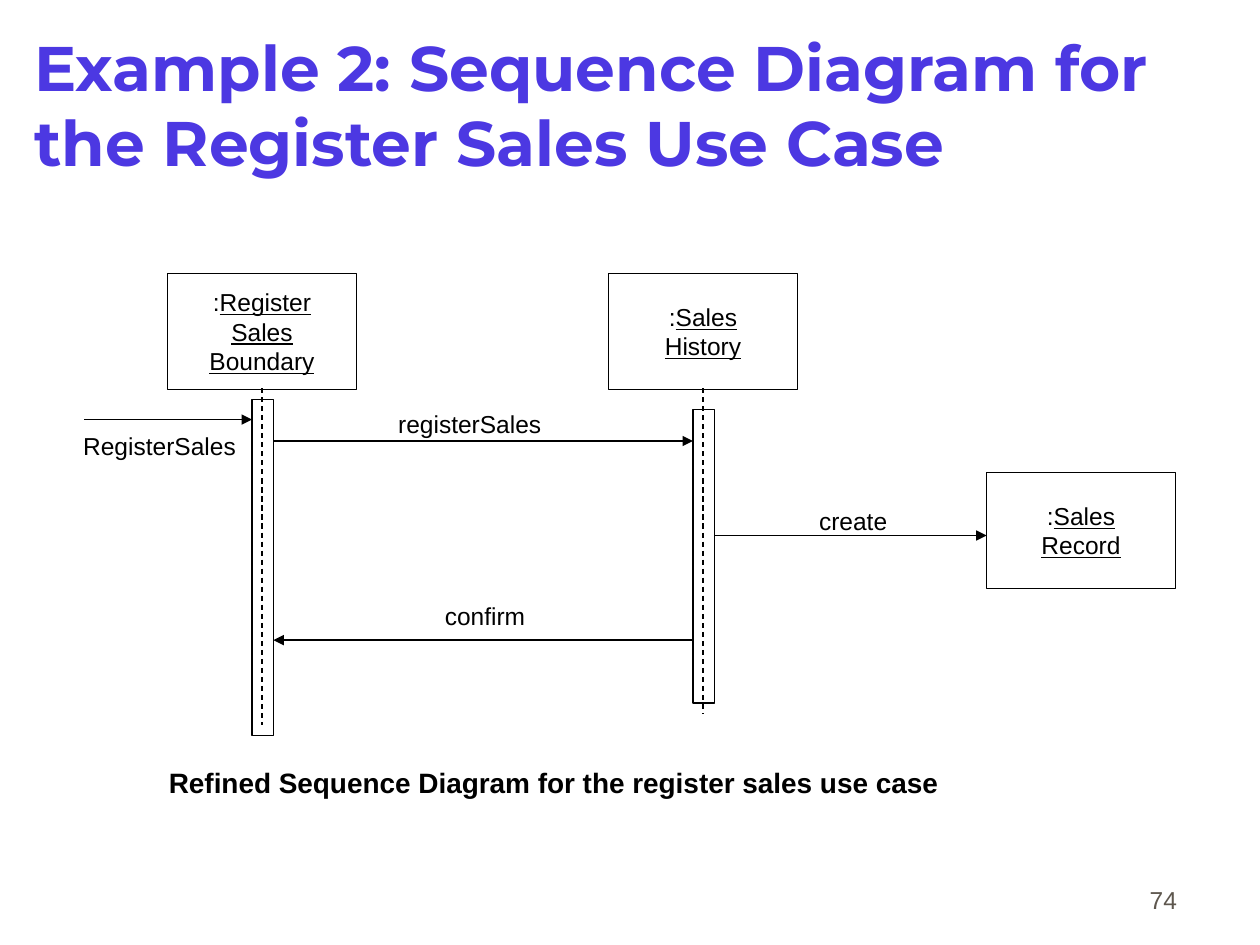
"""Build the sequence diagram slide for the register sales use case."""
from lxml.etree import SubElement as Sub
from pptx import Presentation
from pptx.dml.color import RGBColor as Rgb
from pptx.enum.dml import MSO_LINE as Dash
from pptx.enum.shapes import MSO_CONNECTOR as Link, MSO_SHAPE as Form
from pptx.enum.text import MSO_ANCHOR as Anchor, MSO_AUTO_SIZE as Fit, PP_ALIGN as Align
from pptx.oxml.ns import qn
from pptx.util import Inches, Pt

INK = {"title": "4C38E2", "line": "000000", "text": "000000", "page": "5E574E"}
BAR = 0.17
HEADS = [
    (1.33, 2.17, ["Register", "Sales", "Boundary"]),
    (4.83, 2.17, ["Sales", "History"]),
    (7.83, 3.75, ["Sales", "Record"]),
]
BARS = [(2, 3.17, 2.67), (5.5, 3.25, 2.33)]
LIVES = [(2.08, 5.75), (5.58, 5.67)]
CALLS = [(0.67, 2, 3.33), (2.17, 5.5, 3.5), (5.67, 7.83, 4.25), (5.5, 2.17, 5.08)]
LABELS = [
    ("RegisterSales", 0.66, 3.42, 1.26),
    ("registerSales", 3.16, 3.25, 1.19),
    ("create", 6.5, 4.02, 0.59),
    ("confirm", 3.53, 4.77, 0.69),
]


def add_run(para, text, size=14, ink="text", face="Arial", bold=False, under=False):
    run = para.add_run()
    run.text = text
    font = run.font
    font.name, font.size = face, Pt(size)
    font.bold, font.underline = bold, under
    font.color.rgb = Rgb.from_string(INK[ink])


def set_line(line):
    line.color.rgb = Rgb.from_string(INK["line"])
    line.width = Pt(0.75)


def add_rect(slide, x, y, wide, high):
    rect = slide.shapes.add_shape(
        Form.RECTANGLE, Inches(x), Inches(y), Inches(wide), Inches(high))
    rect.shadow.inherit = False
    rect.fill.background()
    set_line(rect.line)
    return rect


def add_head(slide, x, y, words):
    frame = add_rect(slide, x, y, 1.5, 0.92).text_frame
    frame.word_wrap = False
    frame.vertical_anchor = Anchor.MIDDLE
    for i, word in enumerate(words):
        para = frame.add_paragraph() if i else frame.paragraphs[0]
        para.alignment = Align.CENTER
        if i == 0:
            add_run(para, ":")
        add_run(para, word, under=True)


def add_line(slide, x1, y1, x2, y2, dash=False):
    link = slide.shapes.add_connector(
        Link.STRAIGHT, Inches(x1), Inches(y1), Inches(x2), Inches(y2))
    set_line(link.line)
    props = link._element.spPr
    if dash:
        link.line.dash_style = Dash.DASH
    else:
        Sub(props.find(qn("a:ln")), qn("a:tailEnd"), type="triangle")
    Sub(props, qn("a:effectLst"))


def add_label(slide, text, x, y, wide, high=0.23, **style):
    box = slide.shapes.add_textbox(Inches(x), Inches(y), Inches(wide), Inches(high))
    frame = box.text_frame
    frame.margin_left = frame.margin_right = frame.margin_top = frame.margin_bottom = 0
    frame.word_wrap = False
    frame.auto_size = Fit.SHAPE_TO_FIT_TEXT
    para = frame.paragraphs[0]
    para.alignment = Align.LEFT
    add_run(para, text, **style)


def add_page(slide, text):
    box = slide.shapes.add_textbox(Inches(7.36), Inches(6.81), Inches(2.08), Inches(0.5))
    frame = box.text_frame
    frame.word_wrap = True
    frame.vertical_anchor = Anchor.BOTTOM
    para = frame.paragraphs[0]
    para.alignment = Align.RIGHT
    add_run(para, text, ink="page")


def set_title(slide, text):
    title = slide.shapes.title
    title.left, title.top = Inches(0.25), Inches(0.18)
    title.width, title.height = Inches(9.5), Inches(1.29)
    frame = title.text_frame
    frame.margin_left = frame.margin_right = Inches(0.02)
    frame.vertical_anchor = Anchor.MIDDLE
    frame.auto_size = Fit.NONE
    para = frame.paragraphs[0]
    para.alignment = Align.LEFT
    add_run(para, text, 36, "title", "Montserrat", bold=True)


def main():
    deck = Presentation()
    deck.slide_width, deck.slide_height = Inches(10), Inches(7.5)
    slide = deck.slides.add_slide(deck.slide_layouts[5])
    set_title(slide, "Example 2: Sequence Diagram for the Register Sales Use Case")
    for head in HEADS:
        add_head(slide, *head)
    for x, y, high in BARS:
        add_rect(slide, x, y, BAR, high)
    for x, end in LIVES:
        add_line(slide, x, 3.08, x, end, dash=True)
    for start, end, y in CALLS:
        add_line(slide, start, y, end, y)
    for label in LABELS:
        add_label(slide, *label)
    add_label(slide, "Refined Sequence Diagram for the register sales use case",
              1.34, 6.08, 6.2, 0.27, size=16, bold=True)
    add_page(slide, "74")
    deck.save("out.pptx")


if __name__ == "__main__":
    main()
